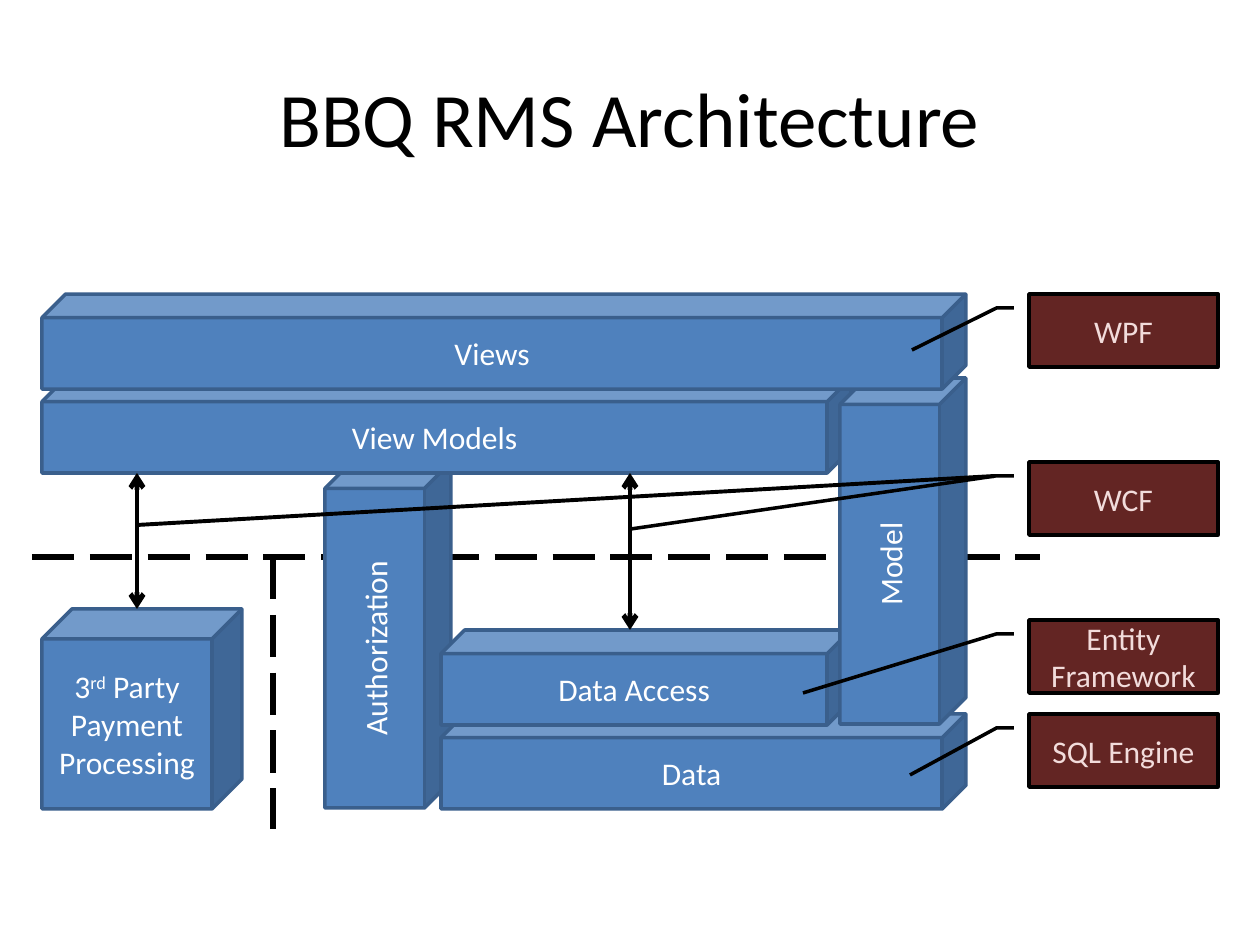
from lxml import etree
from pptx import Presentation
from pptx.dml.color import RGBColor
from pptx.enum.dml import MSO_LINE
from pptx.enum.shapes import MSO_CONNECTOR, MSO_SHAPE
from pptx.enum.text import MSO_ANCHOR, PP_ALIGN
from pptx.oxml.ns import qn
from pptx.util import Pt

EMU_PER_PIXEL = 914400 // 126
CUBE, CALLOUT = MSO_SHAPE.CUBE, MSO_SHAPE.LINE_CALLOUT_2
STRAIGHT, LONG_DASH = MSO_CONNECTOR.STRAIGHT, MSO_LINE.LONG_DASH
MIDDLE, CENTER = MSO_ANCHOR.MIDDLE, PP_ALIGN.CENTER
COLORS = {
    "black": "000000",
    "white": "FFFFFF",
    "blue": "4F81BD",
    "blue_edge": "3A5F8C",
    "maroon": "632523",
    "pink": "F2DCDB",
}


def px(*lengths):
    return [length * EMU_PER_PIXEL for length in lengths]


def color(name):
    return RGBColor.from_string(COLORS[name])


class Diagram:
    font_name = "Calibri"
    text_size = 18
    callout_left, callout_width, callout_height = 1029, 189, 73

    def __init__(self, slide):
        self.shapes = slide.shapes

    def label(self, box, paragraphs, ink, size=text_size):
        """Each paragraph is a list of (text, is_superscript) spans."""
        frame = box.text_frame
        frame.word_wrap = True
        frame.vertical_anchor = MIDDLE
        for index, spans in enumerate(paragraphs):
            para = frame.add_paragraph() if index else frame.paragraphs[0]
            para.alignment = CENTER
            para.font.name = self.font_name
            para.font.size = Pt(size)
            para.font.color.rgb = color(ink)
            for text, superscript in spans:
                span = para.add_run()
                span.text = text
                if superscript:
                    span.font._element.set("baseline", "30000")

    def title(self, text, left, top, width, height):
        box = self.shapes.add_textbox(*px(left, top, width, height))
        self.label(box, [[(text, False)]], "black", 44)

    def block(self, kind, bounds, fill, edge, adjustments):
        box = self.shapes.add_shape(kind, *px(*bounds))
        box.shadow.inherit = False
        box.fill.solid()
        box.fill.fore_color.rgb = color(fill)
        box.line.color.rgb = color(edge)
        box.line.width = Pt(2)
        for index, value in enumerate(adjustments):
            box.adjustments[index] = value
        return box

    def cube(self, paragraphs, bounds, depth=0.25, upright=False):
        box = self.block(CUBE, bounds, "blue", "blue_edge", [depth])
        self.label(box, paragraphs, "white")
        if upright:
            box.text_frame._txBody.bodyPr.set("vert", "vert270")

    def callout(self, text, top, tip_x, tip_y):
        left, width, height = self.callout_left, self.callout_width, self.callout_height
        tip = [(tip_y - top) / height, (tip_x - left) / width]
        box = self.block(CALLOUT, (left, top, width, height), "maroon", "black",
                         [0.19, -0.08, 0.19, -0.17] + tip)
        self.label(box, [[(text, False)]], "pink")

    def line(self, start, end, weight, dash=None, arrows=False):
        connector = self.shapes.add_connector(STRAIGHT, *px(*start, *end))
        connector.line.color.rgb = color("black")
        connector.line.width = Pt(weight)
        if dash:
            connector.line.dash_style = dash
        if arrows:
            outline = connector.line._get_or_add_ln()
            for end_tag in ("a:headEnd", "a:tailEnd"):
                etree.SubElement(outline, qn(end_tag), type="arrow")
        etree.SubElement(connector._element.spPr, qn("a:effectLst"))


deck = Presentation()
deck.slide_width, deck.slide_height = px(1260, 945)
page = Diagram(deck.slides.add_slide(deck.slide_layouts[6]))

page.line((32, 557), (1040, 557), 3, dash=LONG_DASH)
page.cube([[("Authorization", False)]], (325, 462, 126, 346), 0.21, upright=True)
page.title("BBQ RMS Architecture", 63, 38, 1134, 157)
page.cube([[("3", False), ("rd", True), (" Party Payment", False)],
           [("Processing", False)]], (42, 609, 200, 200), 0.15)

for layer, left, top, width in (
    ("Data", 441, 714, 525),
    ("Data Access", 441, 630, 410),
    ("View Models", 42, 378, 809),
):
    page.cube([[(layer, False)]], (left, top, width, 95))
page.cube([[("Model", False)]], (840, 378, 126, 346), 0.21, upright=True)
page.cube([[("Views", False)]], (42, 294, 924, 95))

for technology, top, tip_x, tip_y in (
    ("SQL Engine", 714, 910, 775),
    ("Entity Framework", 620, 803, 693),
    ("WCF", 462, 631, 529),
    ("WPF", 294, 912, 350),
):
    page.callout(technology, top, tip_x, tip_y)

page.line((273, 557), (273, 829), 3, dash=LONG_DASH)
for x, bottom in ((630, 630), (137, 609)):
    page.line((x, 473), (x, bottom), 2.75, arrows=True)
page.line((995, 476), (137, 525), 2.25)

deck.save("out.pptx")
